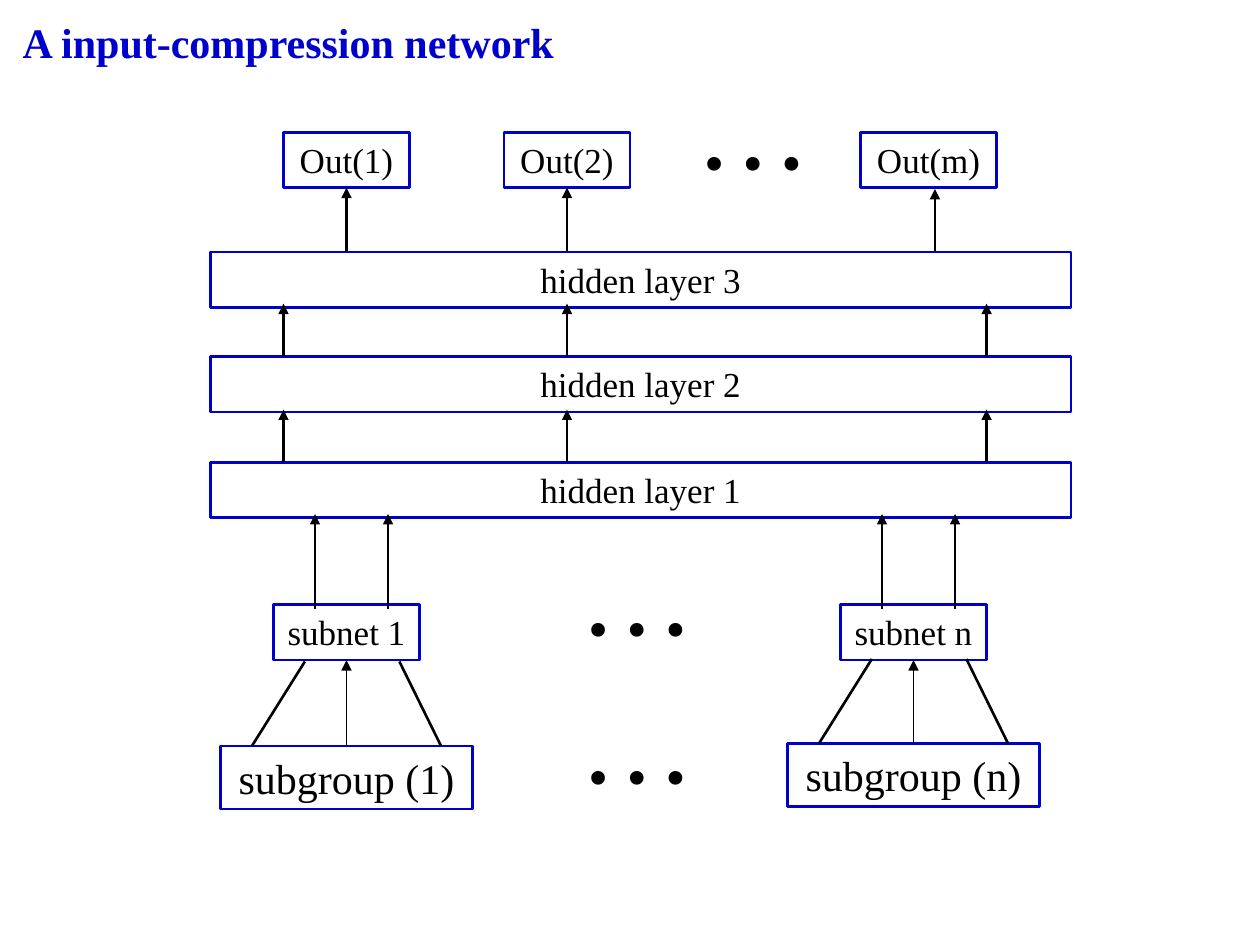
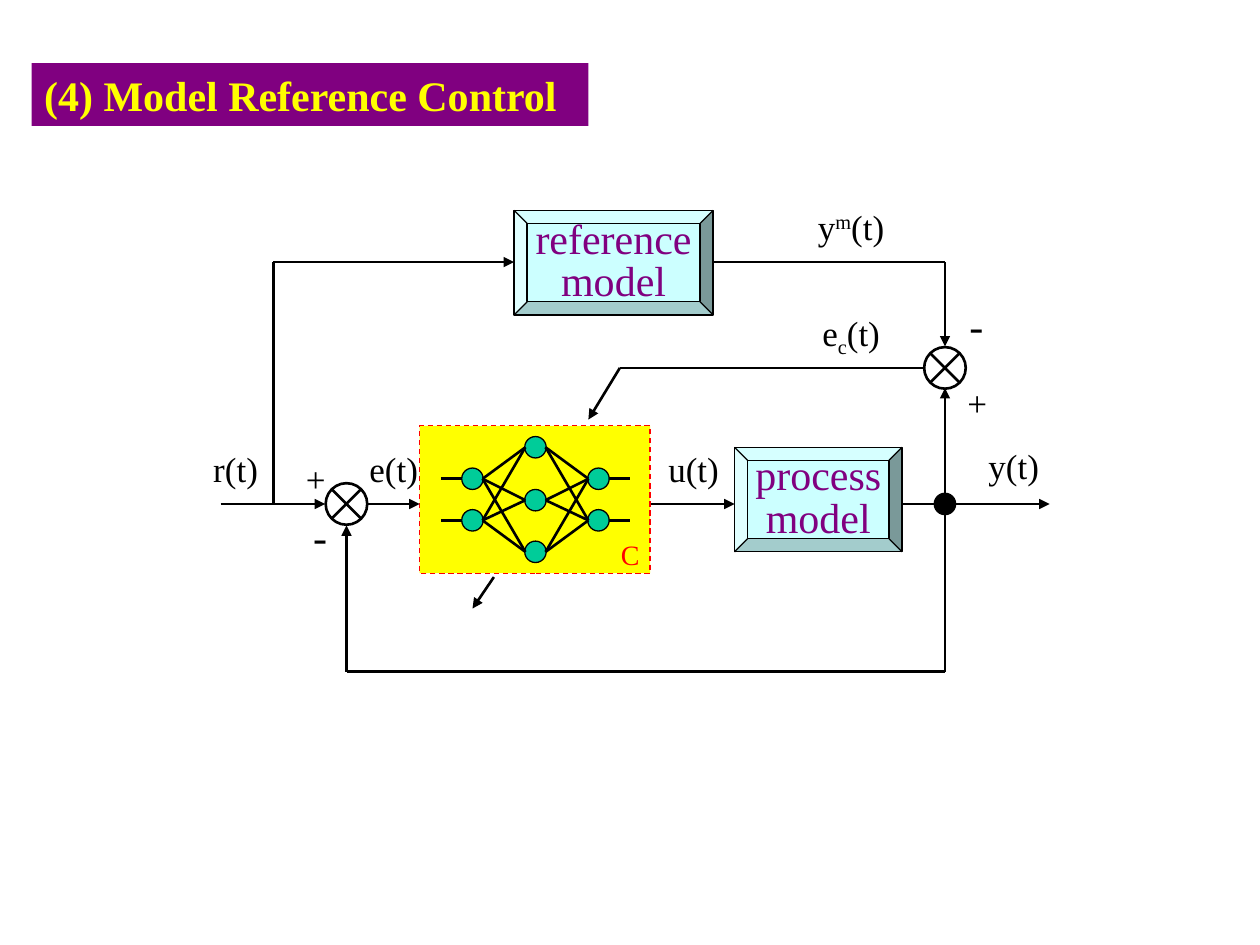
from lxml import etree
from pptx import Presentation
from pptx.dml.color import RGBColor
from pptx.enum.dml import MSO_LINE
from pptx.enum.shapes import MSO_CONNECTOR, MSO_SHAPE
from pptx.enum.text import MSO_ANCHOR, MSO_AUTO_SIZE, PP_ALIGN
from pptx.oxml.ns import qn
from pptx.util import Inches, Pt

BLUE = RGBColor(0x00, 0x00, 0xCC)
BLACK = RGBColor(0x00, 0x00, 0x00)
WHITE = RGBColor(0xFF, 0xFF, 0xFF)
PURPLE = RGBColor(0x80, 0x00, 0x80)
YELLOW = RGBColor(0xFF, 0xFF, 0x00)
RED = RGBColor(0xFF, 0x00, 0x00)
GREEN = RGBColor(0x00, 0xCC, 0x99)
PALE_CYAN = RGBColor(0xCC, 0xFF, 0xFF)

FONT = "Times New Roman"
TITLE_ONLY = 5
RECT, OVAL, BEVEL = MSO_SHAPE.RECTANGLE, MSO_SHAPE.OVAL, MSO_SHAPE.BEVEL
JUNCTION = MSO_SHAPE.FLOWCHART_SUMMING_JUNCTION
STRAIGHT = MSO_CONNECTOR.STRAIGHT
DASH = MSO_LINE.DASH
LEFT, CENTER = PP_ALIGN.LEFT, PP_ALIGN.CENTER
TOP, MIDDLE = MSO_ANCHOR.TOP, MSO_ANCHOR.MIDDLE
NO_AUTOFIT = MSO_AUTO_SIZE.NONE
TOP_SIDE, BOTTOM_SIDE = 0, 2


class Diagram:
    """Holds the shared style and draws on the current slide."""

    def __init__(self, prs):
        self.prs = prs
        self.slide = None

    def new_slide(self, title, left, top, width, color, band=None):
        layout = self.prs.slide_layouts[TITLE_ONLY]
        self.slide = self.prs.slides.add_slide(layout)
        heading = self.slide.shapes.title
        heading.left, heading.top = Inches(left), Inches(top)
        heading.width, heading.height = Inches(width), Inches(0.5)
        if band is not None:
            heading.fill.solid()
            heading.fill.fore_color.rgb = band
        self.set_text(heading, title, 24, color, LEFT, bold=True)

    def set_text(self, shape, text, size, color=BLACK, align=CENTER, anchor=TOP,
                 wrap=True, spacing=1.0, bold=False):
        frame = shape.text_frame
        frame.text = text
        frame.auto_size = NO_AUTOFIT
        frame.word_wrap = wrap
        frame.vertical_anchor = anchor
        for paragraph in frame.paragraphs:
            paragraph.alignment = align
            paragraph.line_spacing = spacing
            paragraph.space_before = Pt(0)
            font = paragraph.font
            font.name, font.size, font.bold = FONT, Pt(size), bold
            font.color.rgb = color

    def shape(self, kind, left, top, width, height, fill=None, line=BLACK,
              weight=0.75):
        shape = self.slide.shapes.add_shape(
            kind, Inches(left), Inches(top), Inches(width), Inches(height))
        shape.shadow.inherit = False
        if fill is None:
            shape.fill.background()
        else:
            shape.fill.solid()
            shape.fill.fore_color.rgb = fill
        shape.line.color.rgb = line
        shape.line.width = Pt(weight)
        return shape

    def box(self, text, left, top, width, height=0.44, size=20):
        """Outlined network block."""
        block = self.shape(RECT, left, top, width, height, line=BLUE, weight=1.5)
        self.set_text(block, text, size)
        return block

    def bevel(self, text, left, top, width):
        plant = self.shape(BEVEL, left, top, width, 0.83, PALE_CYAN)
        self.set_text(plant, text, 24, PURPLE, anchor=MIDDLE, wrap=False,
                      spacing=0.85)

    def circle(self, x, y, size, fill, kind=OVAL, weight=0.75):
        """Round shape centred on (x, y)."""
        self.shape(kind, x - size / 2, y - size / 2, size, size, fill,
                   weight=weight)

    def label(self, text, left, top, width, height=0.44, size=20, color=BLACK,
              align=CENTER):
        label = self.slide.shapes.add_textbox(
            Inches(left), Inches(top), Inches(width), Inches(height))
        self.set_text(label, text, size, color, align)
        return label

    def indexed_label(self, base, index, argument, shift, *place):
        """Label whose index is raised or lowered by shift percent."""
        paragraph = self.label(base, *place).text_frame.paragraphs[0]
        shifted = paragraph.add_run()
        shifted.text = index
        shifted.font._element.set("baseline", str(shift * 1000))
        paragraph.add_run().text = argument

    def line(self, start, end, arrow=False, weight=1.5):
        link = self.slide.shapes.add_connector(
            STRAIGHT, *(Inches(value) for value in (*start, *end)))
        link.line.color.rgb = BLACK
        link.line.width = Pt(weight)
        properties = link._element.spPr
        if arrow:
            outline = properties.find(qn("a:ln"))
            etree.SubElement(outline, qn("a:tailEnd"), type="triangle")
        etree.SubElement(properties, qn("a:effectLst"))
        return link

    def route(self, *points):
        """Straight lines through the points, with an arrowhead at the last."""
        for i in range(1, len(points)):
            self.line(points[i - 1], points[i], arrow=i == len(points) - 1)


def compression_network(d):
    d.new_slide("A input-compression network", 0.08, 0.08, 4.67, BLUE)

    outputs = [("Out(1)", 2.25, 1, 2.75), ("Out(2)", 4, 1, 4.5),
               ("Out(m)", 6.83, 1.08, 7.42)]
    for name, left, width, arrow_x in outputs:
        output = d.box(name, left, 1.05, width)
        arrow = d.line((arrow_x, 2), (arrow_x, 1.5), arrow=True)
        if arrow_x == left + width / 2:
            arrow.end_connect(output, BOTTOM_SIDE)

    layer_tops = {3: 2, 2: 2.83, 1: 3.67}
    for number, top in layer_tops.items():
        d.box(f"hidden layer {number}", 1.67, top, 6.83)
    for number in (1, 2):
        top = layer_tops[number]
        for x in (2.25, 4.5, 7.83):
            d.line((x, top), (x, top - 0.42), arrow=True)

    for suffix, center, group_top in (("1", 2.75, 5.92), ("n", 7.25, 5.9)):
        subgroup = d.box(f"subgroup ({suffix})", center - 1, group_top, 2, 0.5, 24)
        subnet = d.box(f"subnet {suffix}", center - 0.58, 4.8, 1.16)
        for upper, lower in ((-0.33, -0.75), (0.42, 0.75)):
            d.line((center + upper, group_top - 0.67),
                   (center + lower, group_top))
        for offset in (-0.25, 0.33):
            d.line((center + offset, 4.83), (center + offset, 4.08), arrow=True)
        feed = d.line((center, group_top), (center, 5.25), True, 0.75)
        feed.begin_connect(subgroup, TOP_SIDE)
        feed.end_connect(subnet, BOTTOM_SIDE)

    for left, top in ((5.42, 0.38), (4.5, 4.08), (4.5, 5.25)):
        d.label("…", left, top, 1, 1.2, 66, align=LEFT)


def neural_controller(d):
    controller = d.shape(RECT, 3.33, 3.38, 1.83, 1.17, YELLOW, RED)
    controller.line.dash_style = DASH
    outer = (3.8, 4.13)
    layers = [(3.75, outer), (4.25, (3.55, 3.97, 4.38)), (4.75, outer)]
    diameter, radius = 0.17, 0.08
    for x, rows in layers:
        for y in rows:
            d.circle(x, y, diameter, GREEN)
    for (x1, sources), (x2, targets) in zip(layers, layers[1:]):
        for y1 in sources:
            for y2 in targets:
                d.line((x1 + radius, y1), (x2 - radius, y2))
    for y in outer:
        for x in (3.5, 4.83):
            d.line((x, y), (x + 0.17, y))
    d.label("C", 4.83, 4.22, 0.42, 0.37, 16, RED, LEFT)


def model_reference_control(d):
    d.new_slide("(4) Model Reference Control", 0.25, 0.5, 4.42, YELLOW, PURPLE)
    neural_controller(d)
    d.bevel("process\nmodel", 5.83, 3.55, 1.33)
    d.bevel("reference\nmodel", 4.08, 1.67, 1.58)

    error_x, output_x, main_y = 2.75, 7.5, 4
    reference_y, adapt_y, feedback_y = 2.08, 2.92, 5.33
    for x, y in ((error_x, main_y), (output_x, adapt_y)):
        d.circle(x, y, 0.33, WHITE, JUNCTION, 1.5)

    for start, end in ((1.75, 2.58), (2.92, 3.33), (5.17, 5.83), (7.17, 8.33)):
        d.route((start, main_y), (end, main_y))
    d.route((2.17, main_y), (2.17, reference_y), (4.08, reference_y))
    d.route((5.67, reference_y), (output_x, reference_y), (output_x, 2.75))
    d.route((7.33, adapt_y), (4.92, adapt_y), (4.67, 3.33))
    d.route((3.92, 4.58), (3.75, 4.83))
    d.route((output_x, main_y), (output_x, 3.08))
    d.route((output_x, main_y), (output_x, feedback_y),
            (error_x, feedback_y), (error_x, 4.17))
    d.circle(output_x, main_y, 0.17, BLACK)

    signals = [("r(t)", 1.58, 3.5, 0.58), ("e(t)", 2.75, 3.5, 0.75),
               ("u(t)", 5.17, 3.5, 0.67), ("y(t)", 7.67, 3.48, 0.75),
               ("+", 2.33, 3.58, 0.33), ("+", 7.58, 2.98, 0.33)]
    for signal in signals:
        d.label(*signal)
    for left, top, width in ((2.33, 4, 0.42), (7.5, 2.33, 0.5)):
        d.label("-", left, top, width, 0.5, 24)
    d.indexed_label("y", "m", "(t)", 30, 6.17, 1.58, 1.17)
    d.indexed_label("e", "c", "(t)", -25, 6.42, 2.42, 0.67, 0.48)


def main():
    prs = Presentation()
    prs.slide_width, prs.slide_height = Inches(10), Inches(7.5)
    diagram = Diagram(prs)
    compression_network(diagram)
    model_reference_control(diagram)
    prs.save("out.pptx")


if __name__ == "__main__":
    main()
